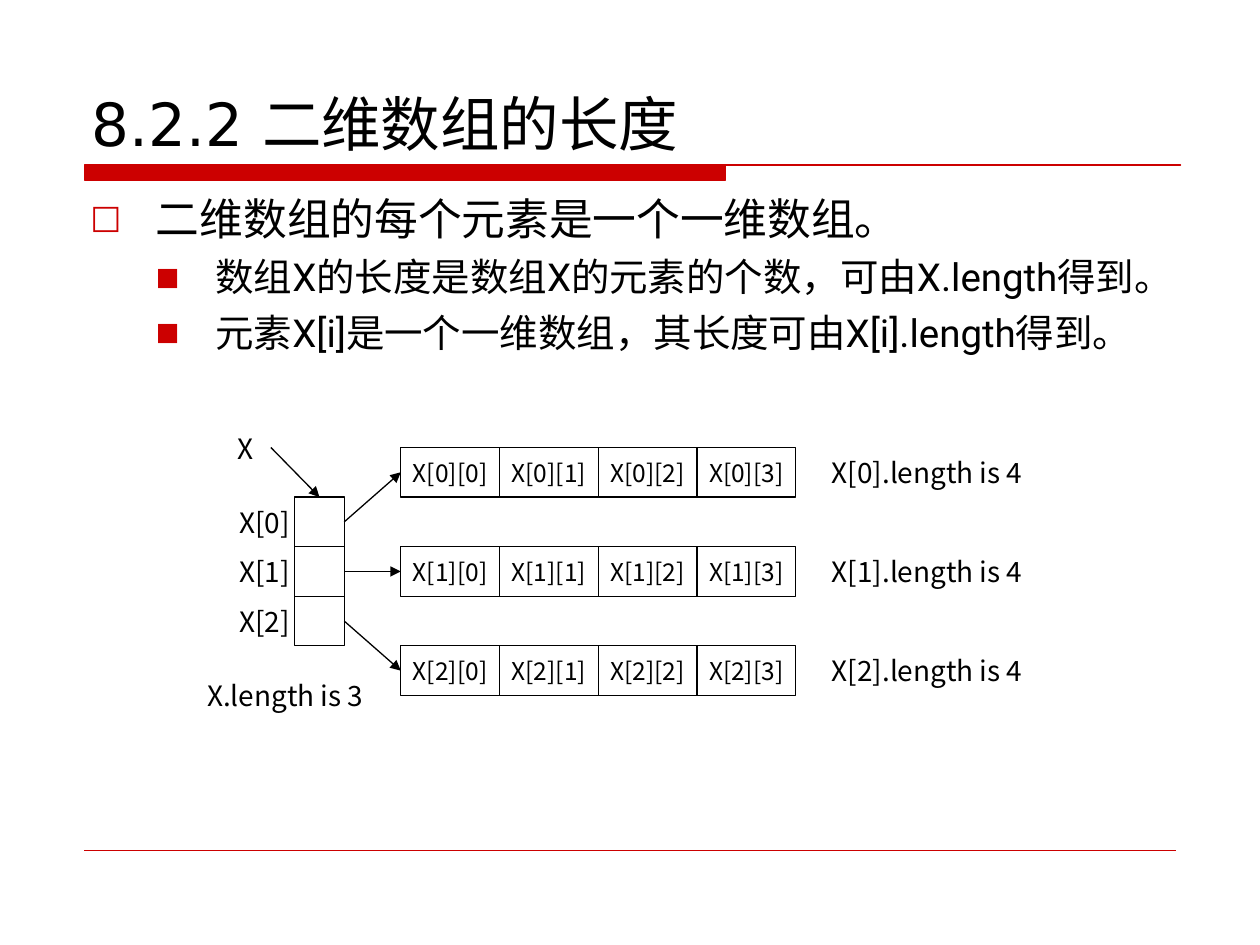
from lxml.etree import SubElement as Sub
from pptx import Presentation
from pptx.dml.color import RGBColor
from pptx.enum.shapes import MSO_CONNECTOR as Conn, MSO_SHAPE as Form
from pptx.enum.text import MSO_ANCHOR as Anchor, MSO_AUTO_SIZE as Fit, PP_ALIGN as Align
from pptx.oxml.ns import qn
from pptx.util import Cm, Pt

BLACK = RGBColor(0, 0, 0)
RED = RGBColor(0xCC, 0, 0)
SANS, BODY, CJK = "DejaVu Sans", "Roboto", "Noto Sans CJK SC"

# Level: text size, space before, left margin, hanging indent, bullet, bullet percent
LEVELS = [
    (25, 6.2, 1.32, -1.36, "□", 75),
    (22, 5.5, 2.52, -1.2, "■", 65),
]
POINTS = [
    (0, "二维数组的每个元素是一个一维数组。"),
    (1, "数组X的长度是数组X的元素的个数，可由X.length得到。"),
    (1, "元素X[i]是一个一维数组，其长度可由X[i].length得到。"),
]
ROWS, COLS = 3, 4
SIDE, WIDE = 1, 1.99         # cell height and width
TOP, PITCH = 9.02, 2         # first row of the grid and row step
REFS, GRID = 5.94, 8.08      # left edges of the reference column and the grid


def set_all(obj, values):
    for name, value in values.items():
        setattr(obj, name, value)


def place(shape, left, top, width, height):
    set_all(shape, {"left": Cm(left), "top": Cm(top),
                    "width": Cm(width), "height": Cm(height)})


def write(para, text, size, font):
    """Add a run that uses one font for Latin and Chinese letters."""
    run = para.add_run()
    run.text = text
    set_all(run.font, {"name": font, "size": Pt(size)})
    run.font.color.rgb = BLACK
    Sub(run.font._element, qn("a:ea"), typeface=font)


def add_title(slide, text):
    title = slide.shapes.title
    place(title, 1.6, 0.84, 22.22, 2.49)
    set_all(title.text_frame, {"vertical_anchor": Anchor.BOTTOM,
                               "auto_size": Fit.NONE, "word_wrap": True})
    para = title.text_frame.paragraphs[0]
    para.alignment = Align.LEFT
    write(para, text, 34, SANS)


def add_bullet(para, char, percent, margin, indent):
    props = para._p.get_or_add_pPr()
    props.set("marL", str(Cm(margin)))
    props.set("indent", str(Cm(indent)))
    Sub(Sub(props, qn("a:buClr")), qn("a:srgbClr"), val=str(RED))
    Sub(props, qn("a:buSzPct"), val=str(percent * 1000))
    Sub(props, qn("a:buFont"), typeface=SANS)
    Sub(props, qn("a:buChar"), char=char)


def add_list(slide, points):
    body = slide.placeholders[1]
    place(body, 1.57, 3.73, 22.76, 13)
    frame = body.text_frame
    set_all(frame, {"auto_size": Fit.NONE, "word_wrap": True, "margin_right": Cm(0.6)})
    for i, (level, text) in enumerate(points):
        size, before, margin, indent, char, percent = LEVELS[level]
        para = frame.add_paragraph() if i else frame.paragraphs[0]
        set_all(para, {"level": level, "space_before": Pt(before)})
        add_bullet(para, char, percent, margin, indent)
        write(para, text, size, BODY)


def center(shape, text, size):
    frame = shape.text_frame
    set_all(frame, {"word_wrap": False, "vertical_anchor": Anchor.MIDDLE,
                    "margin_left": 0, "margin_right": 0})
    para = frame.paragraphs[0]
    para.alignment = Align.CENTER
    write(para, text, size, CJK)


def add_label(slide, text, left, top, width=1):
    box = slide.shapes.add_textbox(Cm(left), Cm(top), Cm(width), Cm(SIDE))
    center(box, text, 16)


def add_cell(slide, left, top, width, text=""):
    cell = slide.shapes.add_shape(Form.RECTANGLE, Cm(left), Cm(top), Cm(width), Cm(SIDE))
    cell.shadow.inherit = False
    cell.fill.background()
    cell.line.color.rgb = BLACK
    cell.line.width = Pt(0.75)
    if text:
        center(cell, text, 14)
    return cell


def add_line(slide, start, end, color, width=0.75):
    line = slide.shapes.add_connector(Conn.STRAIGHT, *map(Cm, start + end))
    line.line.color.rgb = color
    line.line.width = Pt(width)
    Sub(line._element.spPr, qn("a:effectLst"))
    return line


def add_arrow(slide, start, end, target, site):
    arrow = add_line(slide, start, end, BLACK)
    arrow.end_connect(target, site)
    Sub(arrow.line._get_or_add_ln(), qn("a:tailEnd"), type="triangle")
    return arrow


def add_rules(slide):
    """Draw the title bar with its thin tail, and the line at the foot."""
    left, mid, right, top, low = map(Cm, (1.7, 14.63, 23.8, 3.33, 3.63))
    pen = slide.shapes.build_freeform(right, top)
    pen.add_line_segments([(left, top), (left, low), (mid, low), (mid, top)])
    bar = pen.convert_to_shape()
    bar.shadow.inherit = False
    bar.fill.solid()
    bar.fill.fore_color.rgb = RED
    bar.line.color.rgb = RED
    bar.line.width = Pt(0.75)
    add_line(slide, (1.7, 17.15), (23.7, 17.15), RED, 0.25)


def add_array(slide):
    """Draw the column of references and the row that each one points to."""
    head = TOP + SIDE
    for i in range(ROWS):
        top, ref_top = TOP + i * PITCH, head + i * SIDE
        ref = add_cell(slide, REFS, ref_top, SIDE)
        row = [add_cell(slide, GRID + j * WIDE, top, WIDE, f"X[{i}][{j}]")
               for j in range(COLS)]
        add_label(slide, f"X[{i}]", 4.78, ref_top, 1.1)
        add_label(slide, f"X[{i}].length is {COLS} ", 16.43, top, 4.65)
        link = add_arrow(slide, (REFS + SIDE, ref_top + SIDE / 2),
                         (GRID, top + SIDE / 2), row[0], 1)
        link.begin_connect(ref, 3)
        if i == 0:
            add_arrow(slide, (5.46, TOP), (REFS + SIDE / 2, head), ref, 0)
    add_label(slide, "X", 4.45, 8.53)
    add_label(slide, f"X.length is {ROWS} ", 4.1, 13.51, 3.43)


def main():
    deck = Presentation()
    set_all(deck, {"slide_width": Cm(25.4), "slide_height": Cm(19.05)})
    slide = deck.slides.add_slide(deck.slide_layouts[1])
    add_rules(slide)
    add_title(slide, "8.2.2 二维数组的长度")
    add_list(slide, POINTS)
    add_array(slide)
    deck.save("out.pptx")


if __name__ == "__main__":
    main()
